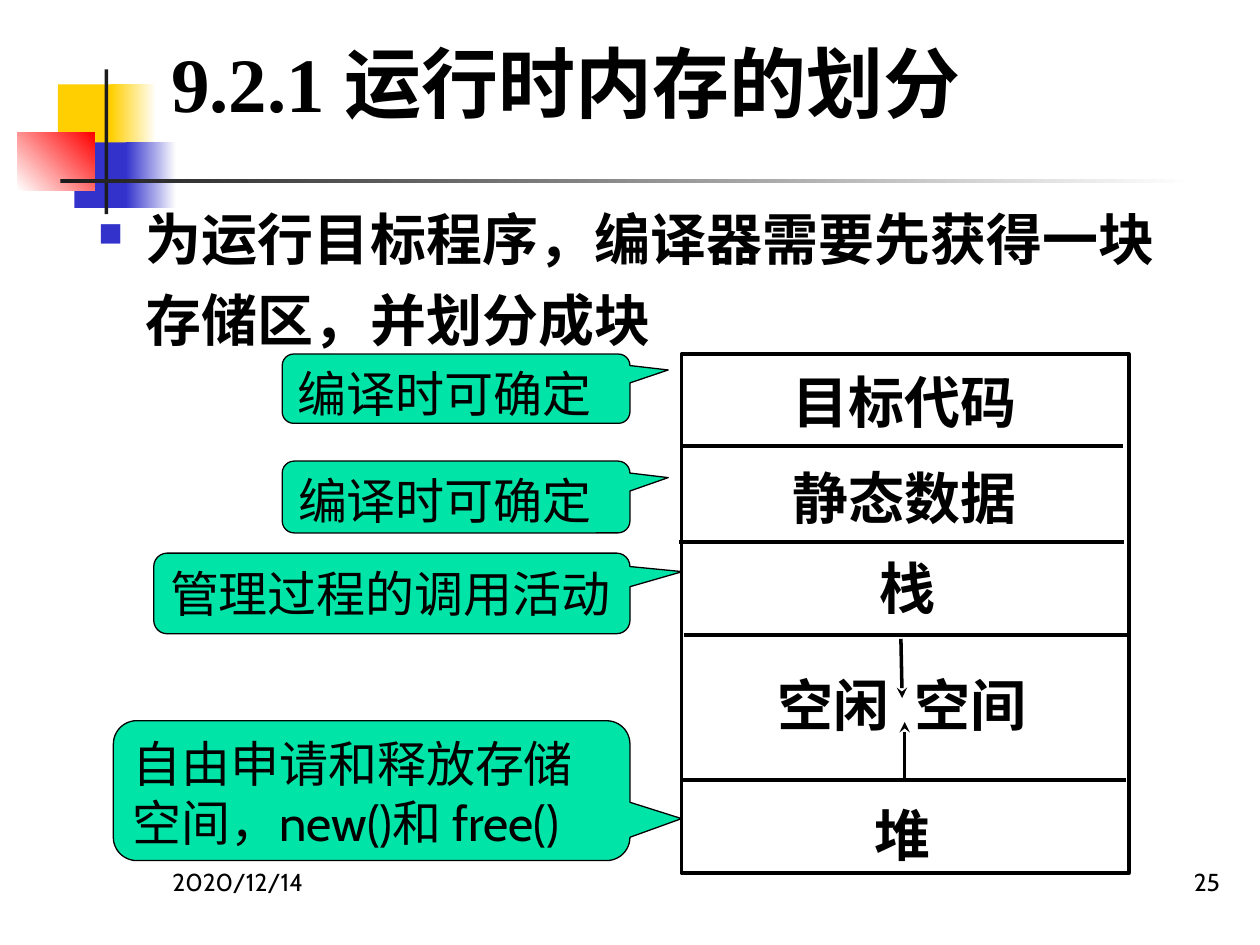
from lxml import etree
from pptx import Presentation
from pptx.dml.color import RGBColor
from pptx.enum.shapes import MSO_CONNECTOR, MSO_SHAPE
from pptx.enum.text import MSO_ANCHOR, PP_ALIGN
from pptx.oxml.ns import qn
from pptx.util import Inches, Pt

RECT = MSO_SHAPE.RECTANGLE
CALL = MSO_SHAPE.ROUNDED_RECTANGULAR_CALLOUT
LINE = MSO_CONNECTOR.STRAIGHT
TOP, MID = MSO_ANCHOR.TOP, MSO_ANCHOR.MIDDLE
LEFT, MIDST, RIGHT = PP_ALIGN.LEFT, PP_ALIGN.CENTER, PP_ALIGN.RIGHT
SERIF, SANS = "Times New Roman", "Cabin"
BLACK, DARK, WHITE = "000000", "1C1C1C", "FFFFFF"
GOLD, BLUE, RED, MINT = "FFCF01", "3333CC", "FF0000", "00E4A8"
hue = RGBColor.from_string

deck = Presentation()
deck.slide_width, deck.slide_height = Inches(10), Inches(7.5)
slide = deck.slides.add_slide(deck.slide_layouts[6])
COL = deck.slide_width / 100
ROW = deck.slide_height / 75


def grid(x, y, wide, high):
    return int(x * COL), int(y * ROW), int(wide * COL), int(high * ROW)


def write(shape, text, size, font, bold=False, align=LEFT, anchor=TOP):
    frame = shape.text_frame
    frame.word_wrap = True
    frame.vertical_anchor = anchor
    frame.text = text
    para = frame.paragraphs[0]
    para.alignment = align
    for run in para.runs:
        run.font.size = Pt(size)
        run.font.name = font
        run.font.bold = bold
        run.font.color.rgb = hue(BLACK)
    return para


decor = [
    ((4.6, 6.7, 4.8, 5.2), [GOLD], 0),
    ((8.8, 6.7, 3.6, 5.2), [GOLD, WHITE], 0),
    ((5.9, 11.3, 4.6, 5.2), [BLUE], 0),
    ((10, 11.3, 4, 5.2), [BLUE, WHITE], 0),
    ((1.4, 10.5, 6.1, 4.6), [WHITE, RED], 45),
    ((8.3, 5.5, 0.3, 11.5), [DARK], 0),
    ((4.8, 14.2, 90, 0.3), [DARK, WHITE], 0),
]
for box, tones, angle in decor:
    block = slide.shapes.add_shape(RECT, *grid(*box))
    block.shadow.inherit = False
    block.line.fill.background()
    if len(tones) == 1:
        block.fill.solid()
        block.fill.fore_color.rgb = hue(tones[0])
    else:
        block.fill.gradient()
        block.fill.gradient_angle = angle
        for stop, tone in zip(block.fill.gradient_stops, tones):
            stop.color.rgb = hue(tone)

title = slide.shapes.add_textbox(*grid(12.6, 2.3, 85.2, 8.4))
write(title, "9.2.1 运行时内存的划分", 44, SERIF, True, anchor=MID)

body = slide.shapes.add_textbox(*grid(6.8, 14.7, 88.1, 57.5))
para = write(body, "为运行目标程序，编译器需要先获得一块存储区，并划分成块", 32, SANS, True)
para.line_spacing = 1.2
props = para._p.get_or_add_pPr()
props.set("marL", str(Inches(0.38)))
props.set("indent", str(-Inches(0.38)))
tint = etree.SubElement(props, qn("a:buClr"))
etree.SubElement(tint, qn("a:srgbClr"), val=BLUE)
etree.SubElement(props, qn("a:buSzPct"), val="60000")
etree.SubElement(props, qn("a:buChar"), char="■")

for x, text, align in [(12.7, "2020/12/14", LEFT), (77, "25", RIGHT)]:
    foot = slide.shapes.add_textbox(*grid(x, 68.3, 20.8, 5))
    write(foot, text, 14, SANS, align=align)

store = slide.shapes.add_shape(RECT, *grid(54.1, 28.1, 35.5, 41.2))
store.shadow.inherit = False
store.fill.background()
store.line.color.rgb = hue(BLACK)
store.line.width = Pt(2)

rules = [
    (54, 35.4, 89.1, 35.4, False),
    (53.9, 43, 89.2, 43, False),
    (54.3, 50.4, 89.5, 50.4, False),
    (54.1, 61.9, 89.4, 61.9, False),
    (71.5, 50.7, 71.6, 55.4, True),
    (71.8, 61.9, 71.8, 57.3, True),
]
for *ends, arrow in rules:
    rule = slide.shapes.add_connector(LINE, *grid(*ends))
    rule.line.color.rgb = hue(BLACK)
    rule.line.width = Pt(2)
    if arrow:
        etree.SubElement(rule.line._get_or_add_ln(), qn("a:tailEnd"), type="stealth")
    etree.SubElement(rule._element.spPr, qn("a:effectLst"))

parts = [
    (54.9, 28.3, "目标代码"),
    (54.9, 35.9, "静态数据"),
    (55.1, 43, "栈"),
    (54.7, 52.3, "空闲  空间"),
    (54.7, 62.6, "堆"),
]
for x, y, text in parts:
    part = slide.shapes.add_textbox(*grid(x, y, 33.8, 6.5))
    part.text_frame.margin_top = Inches(0.09)
    write(part, text, 32, SERIF, True, MIDST)

notes = [
    (22.4, 28.1, 5.5, 0.61, -0.27, "编译时可确定"),
    (22.4, 36.6, 5.7, 0.61, -0.27, "编译时可确定"),
    (12.2, 43.9, 6.4, 0.61, -0.27, "管理过程的调用活动"),
    (9, 57.2, 11.1, 0.6, 0.2, "自由申请和释放存储空间，new()和 free()"),
]
for x, y, high, across, down, text in notes:
    note = slide.shapes.add_shape(CALL, *grid(x, y, 50 - x, high))
    note.shadow.inherit = False
    note.adjustments[0] = across
    note.adjustments[1] = down
    note.fill.solid()
    note.fill.fore_color.rgb = hue(MINT)
    note.line.color.rgb = hue(BLACK)
    note.line.width = Pt(0.75)
    write(note, text, 28, SANS)

deck.save("out.pptx")
